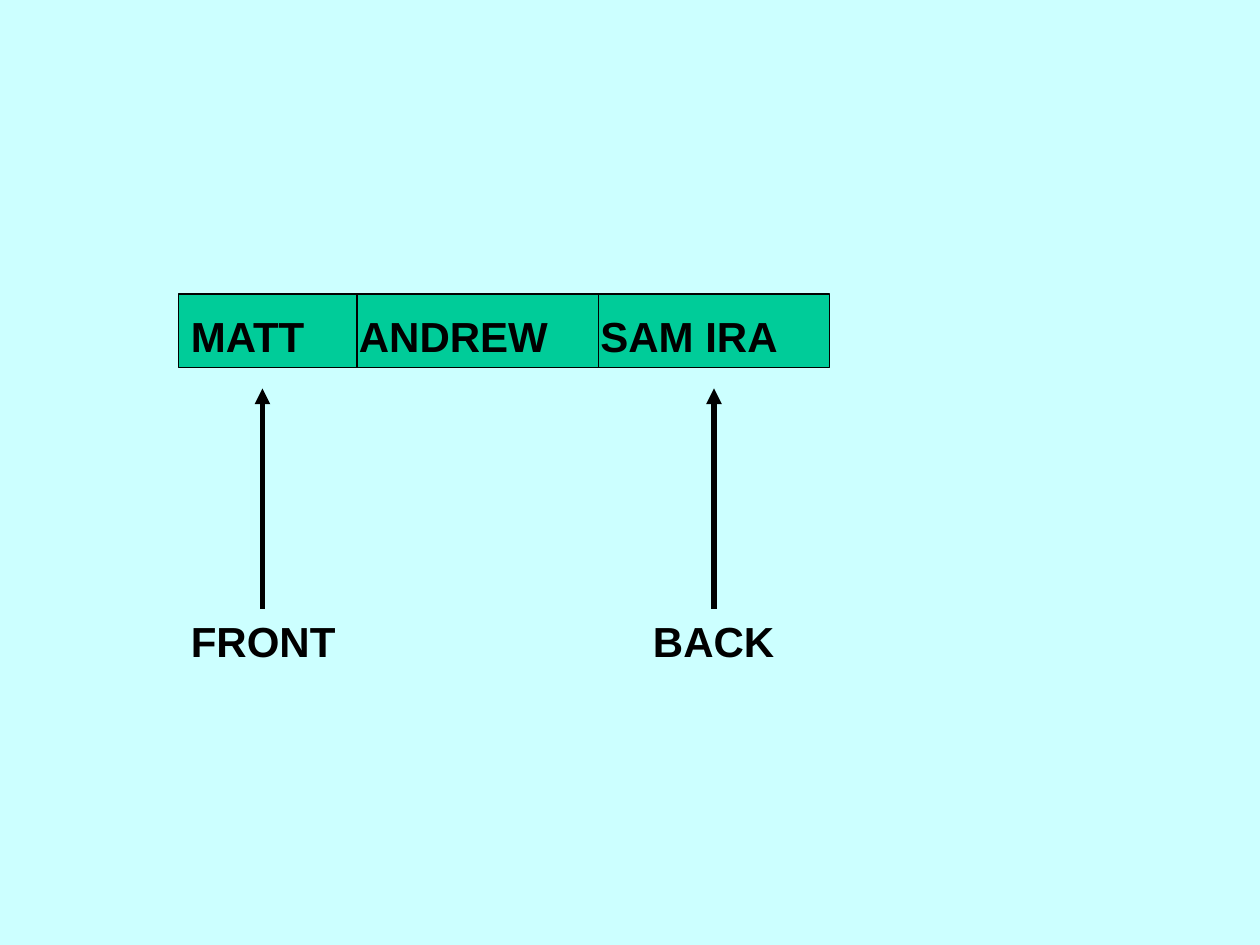
from dataclasses import dataclass

from pptx import Presentation
from pptx.dml.color import RGBColor
from pptx.enum.shapes import MSO_CONNECTOR as Connector, MSO_SHAPE as Shape
from pptx.enum.text import MSO_AUTO_SIZE as AutoSize
from pptx.oxml.ns import qn
from pptx.util import Emu, Pt
from lxml.etree import SubElement


@dataclass(frozen=True)
class Theme:
    background: RGBColor = RGBColor(0xCC, 0xFF, 0xFF)
    cell: RGBColor = RGBColor(0x00, 0xCC, 0x99)
    ink: RGBColor = RGBColor(0x00, 0x00, 0x00)
    font: str = "Arial"
    text_size: float = 24
    border: float = 0.75
    arrow: float = 3


THEME = Theme()
PX = 7620  # EMU per px, 120 px to the inch

CELL_TOP, CELL_HEIGHT = 280, 70
NAME_TOP, LABEL_TOP, TEXT_HEIGHT = 290, 580, 60
ARROW_TIP = 370

# Name, cell left and width, text left and width; later cells overlap earlier ones
QUEUE_CELLS = [
    ("SAM IRA", 540, 250, 560, 250),
    ("MATT", 170, 170, 170, 180),
    ("ANDREW", 340, 230, 330, 250),
]

# Label, its left and width, arrow position, whether the text wraps
POINTERS = [
    ("FRONT", 170, 170, 250, True),
    ("BACK", 610, 140, 680, False),
]


def px(*lengths):
    return [Emu(length * PX) for length in lengths]


def add_text(slide, text, left, top, width, *, height=TEXT_HEIGHT, wrap=True,
             size=THEME.text_size, color=THEME.ink, bold=True):
    box = slide.shapes.add_textbox(*px(left, top, width, height))
    frame = box.text_frame
    frame.word_wrap = wrap
    frame.auto_size = AutoSize.SHAPE_TO_FIT_TEXT
    paragraph = frame.paragraphs[0]
    paragraph.text = text
    font = paragraph.font
    font.name, font.size, font.bold = THEME.font, Pt(size), bold
    font.color.rgb = color
    return box


def add_cell(slide, left, width):
    cell = slide.shapes.add_shape(
        Shape.RECTANGLE, *px(left, CELL_TOP, width, CELL_HEIGHT))
    cell.shadow.inherit = False
    cell.fill.solid()
    cell.fill.fore_color.rgb = THEME.cell
    cell.line.color.rgb = THEME.ink
    cell.line.width = Pt(THEME.border)


def add_arrow(slide, x, start, end):
    arrow = slide.shapes.add_connector(Connector.STRAIGHT, *px(x, start, x, end))
    arrow.line.color.rgb = THEME.ink
    arrow.line.width = Pt(THEME.arrow)
    properties = arrow.line._get_or_add_ln()
    SubElement(properties, qn("a:tailEnd"), type="triangle")
    SubElement(arrow._element.spPr, qn("a:effectLst"))
    return arrow


def main():
    presentation = Presentation()
    presentation.slide_width, presentation.slide_height = px(1200, 900)
    slide = presentation.slides.add_slide(presentation.slide_layouts[6])
    slide.background.fill.solid()
    slide.background.fill.fore_color.rgb = THEME.background

    # Queue of names
    for name, cell_left, cell_width, text_left, text_width in QUEUE_CELLS:
        add_cell(slide, cell_left, cell_width)
        add_text(slide, name, text_left, NAME_TOP, text_width)

    # Pointers to both ends of the queue
    for text, left, width, arrow_x, wrap in POINTERS:
        label = add_text(slide, text, left, LABEL_TOP, width, wrap=wrap)
        arrow = add_arrow(slide, arrow_x, LABEL_TOP, ARROW_TIP)
        if arrow_x == left + width / 2:
            arrow.begin_connect(label, 0)

    presentation.save("out.pptx")


if __name__ == "__main__":
    main()
